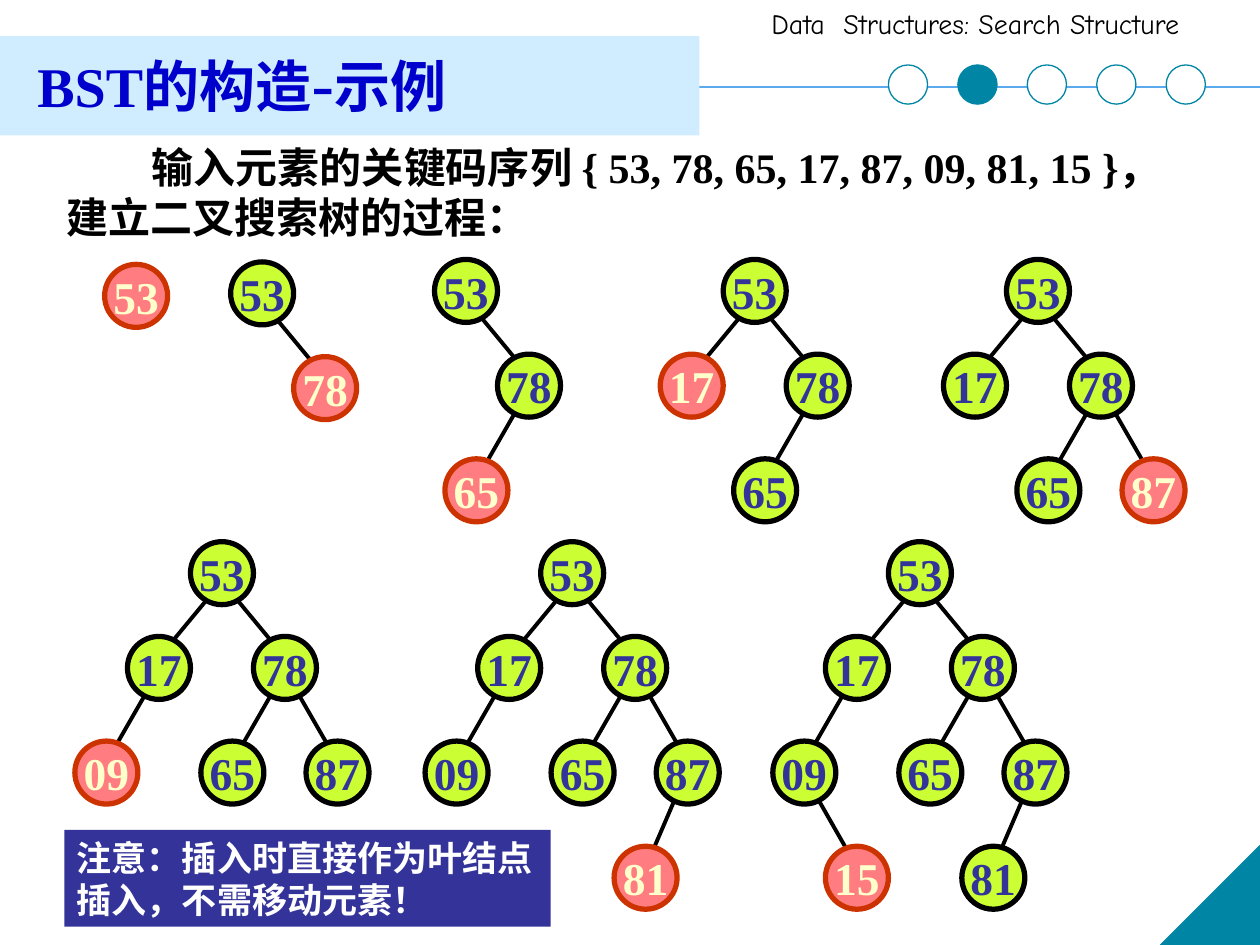
import pptx
import pptx.util
import pptx.dml.color
import pptx.enum.shapes
import pptx.enum.text
import pptx.oxml.ns
import lxml.etree

Cm = pptx.util.Cm
Pt = pptx.util.Pt
RGB = pptx.dml.color.RGBColor.from_string
MSO = pptx.enum.shapes.MSO_SHAPE
ANCHOR = pptx.enum.text.MSO_ANCHOR
ALIGN = pptx.enum.text.PP_ALIGN
qn = pptx.oxml.ns.qn


class Theme:
    teal, band, rule, white, black = "0085A4", "CFEDFE", "5AAAED", "FFFFFF", "000000"
    title, note = "0000CC", "333399"
    node, node_line, node_text = "CCFF33", "000000", "333399"
    new, new_line, new_text = "FF7C80", "CC3300", "FFFFCC"
    serif, sans, header = "Times New Roman", "Cabin", "Comic Neue"
    title_size, body_size, node_size, note_size, header_size = 32, 24, 26, 20, 16


def write(p, text, size, font, color, bold=True):
    r = p.add_run()
    r.text = text
    r.font.size = Pt(size)
    r.font.name = font
    r.font.bold = bold
    r.font.color.rgb = RGB(color)


def draw(shapes, kind, x, y, w, h, fill, line=None, weight=0.75):
    sp = shapes.add_shape(kind, Cm(x), Cm(y), Cm(w), Cm(h))
    sp.shadow.inherit = False
    sp.fill.solid()
    sp.fill.fore_color.rgb = RGB(fill)
    if line:
        sp.line.color.rgb = RGB(line)
        sp.line.width = Pt(weight)
    else:
        sp.line.fill.background()
    return sp


prs = pptx.Presentation()
prs.slide_width, prs.slide_height = Cm(25.4), Cm(19.05)
s = prs.slides.add_slide(prs.slide_layouts[1])
title, body = s.placeholders

lines = []
rule = s.shapes.add_connector(
    pptx.enum.shapes.MSO_CONNECTOR.STRAIGHT, 0, Cm(1.75), Cm(25.4), Cm(1.75))
lines.append((rule, Theme.rule, 1))
corner = draw(s.shapes, MSO.RIGHT_TRIANGLE, 23.4, 17.05, 2, 2, Theme.teal, Theme.teal)
corner.element.spPr.get_or_add_xfrm().set("flipH", "1")
band = draw(s.shapes, MSO.RECTANGLE, 0, 0.73, 14.1, 2, Theme.band)
for sp in (rule, corner, band):
    title.element.addprevious(sp.element)

header = s.shapes.add_textbox(Cm(15.3), 0, Cm(10.2), Cm(0.94))
header.text_frame.word_wrap = True
write(header.text_frame.paragraphs[0], "Data  Structures: Search Structure",
      size=Theme.header_size, font=Theme.header, color=Theme.black, bold=False)

for sp, box, anchor in (
    (title, (0.5, 0.84, 14.6, 1.68), ANCHOR.BOTTOM),
    (body, (1.09, 2.72, 23.2, 2.29), ANCHOR.TOP),
):
    sp.left, sp.top, sp.width, sp.height = [Cm(v) for v in box]
    tf = sp.text_frame
    tf.word_wrap = True
    tf.auto_size = pptx.enum.text.MSO_AUTO_SIZE.NONE
    tf.vertical_anchor = anchor
    tf.paragraphs[0].alignment = ALIGN.LEFT
    tf.paragraphs[0].space_before = Pt(0)

p = title.text_frame.paragraphs[0]
p.line_spacing = 1.05
write(p, "BST", size=Theme.title_size, font=Theme.serif, color=Theme.title)
write(p, "的构造-示例", size=Theme.title_size, font=Theme.sans, color=Theme.title)

p = body.text_frame.paragraphs[0]
pPr = p._p.get_or_add_pPr()
pPr.set("marL", "0")
pPr.set("indent", str(Cm(1.72)))
lxml.etree.SubElement(pPr, qn("a:buNone"))
write(p, "输入元素的关键码序列 { 53, 78, 65, 17, 87, 09, 81, 15 }，建立二叉搜索树的过程：",
      size=Theme.body_size, font=Theme.serif, color=Theme.black)

for i in range(5):
    draw(s.shapes, MSO.OVAL, 17.91 + 1.4 * i, 1.31, 0.79, 0.79,
         Theme.teal if i == 1 else Theme.white, Theme.teal)

tree = {
    "53": (None, 0, 0),
    "78": ("53", 1.27, 1.91),
    "65": ("78", 0.21, 4.02),
    "17": ("53", -1.27, 1.91),
    "87": ("78", 2.33, 4.02),
    "09": ("17", -2.33, 4.02),
    "81": ("87", 1.48, 6.14),
    "15": ("09", -1.27, 6.14),
}
keys = list(tree)
roots = [(2.11, 5.33), (4.65, 5.28), (8.76, 5.23), (14.58, 5.23), (20.29, 5.23),
         (3.84, 10.92), (10.9, 10.92), (17.91, 10.92)]
d = 1.27

for n, (x, y) in enumerate(roots, 1):
    shapes = s.shapes.add_group_shape().shapes if n > 1 else s.shapes
    for key in keys[1:n]:
        parent, dx, dy = tree[key]
        px, py = tree[parent][1:]
        side = 0.21 if dx > px else -0.21
        edge = shapes.add_connector(
            pptx.enum.shapes.MSO_CONNECTOR.STRAIGHT,
            Cm(x + d / 2 + px + side), Cm(y + d / 2 + py + 0.42),
            Cm(x + d / 2 + dx), Cm(y + d / 2 + dy - 0.21))
        lines.append((edge, Theme.black, 2.25))
    for key in keys[:n]:
        dx, dy = tree[key][1:]
        if key == keys[n - 1]:
            fill, line, color = Theme.new, Theme.new_line, Theme.new_text
        else:
            fill, line, color = Theme.node, Theme.node_line, Theme.node_text
        sp = draw(shapes, MSO.OVAL, x + dx, y + dy, d, d, fill, line, 3)
        tf = sp.text_frame
        tf.word_wrap = False
        tf.vertical_anchor = ANCHOR.MIDDLE
        tf.paragraphs[0].alignment = ALIGN.CENTER
        write(tf.paragraphs[0], key, size=Theme.node_size, font=Theme.serif, color=color)

for c, color, weight in lines:
    c.line.color.rgb = RGB(color)
    c.line.width = Pt(weight)
    lxml.etree.SubElement(c.element.spPr, qn("a:effectLst"))

note = draw(s.shapes, MSO.RECTANGLE, 1.3, 16.73, 9.8, 1.95, Theme.note)
tf = note.text_frame
tf.word_wrap = True
tf.vertical_anchor = ANCHOR.BOTTOM
tf.paragraphs[0].alignment = ALIGN.LEFT
write(tf.paragraphs[0], "注意：插入时直接作为叶结点插入，不需移动元素！",
      size=Theme.note_size, font=Theme.sans, color=Theme.white)

prs.save("out.pptx")
